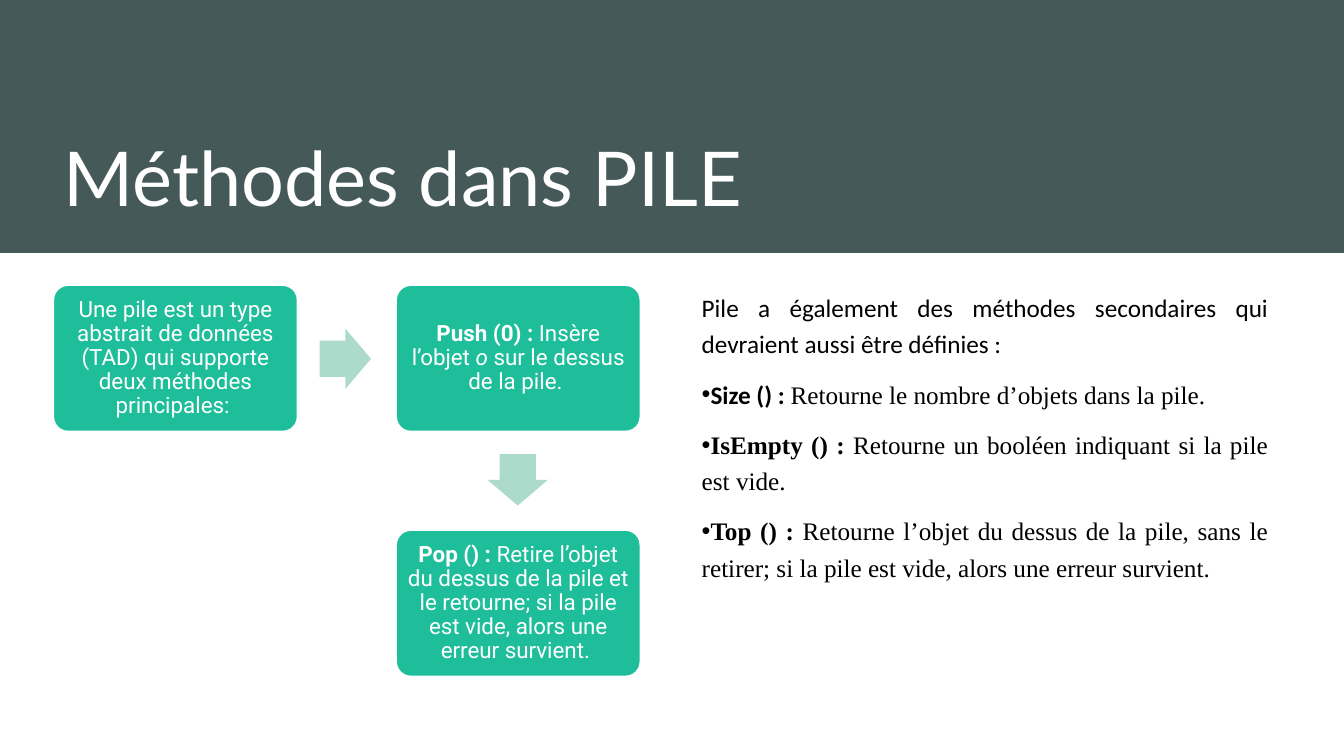
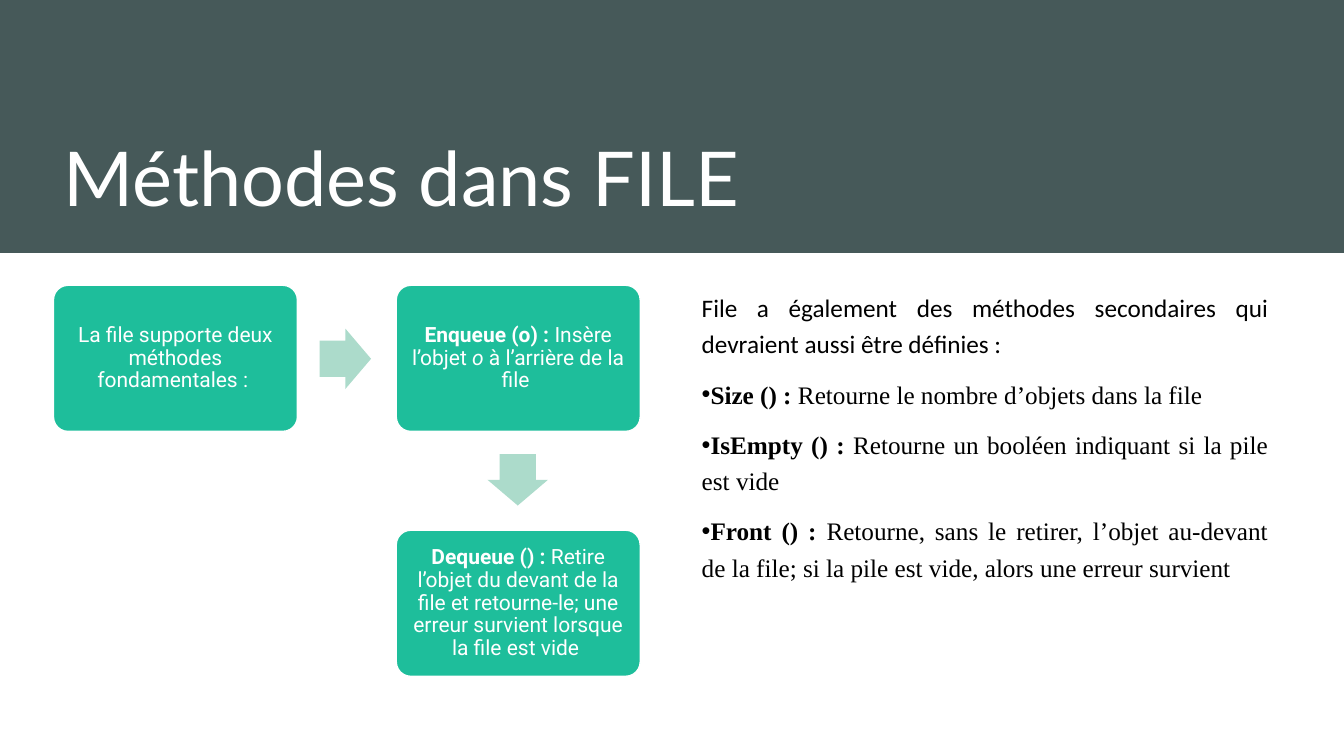
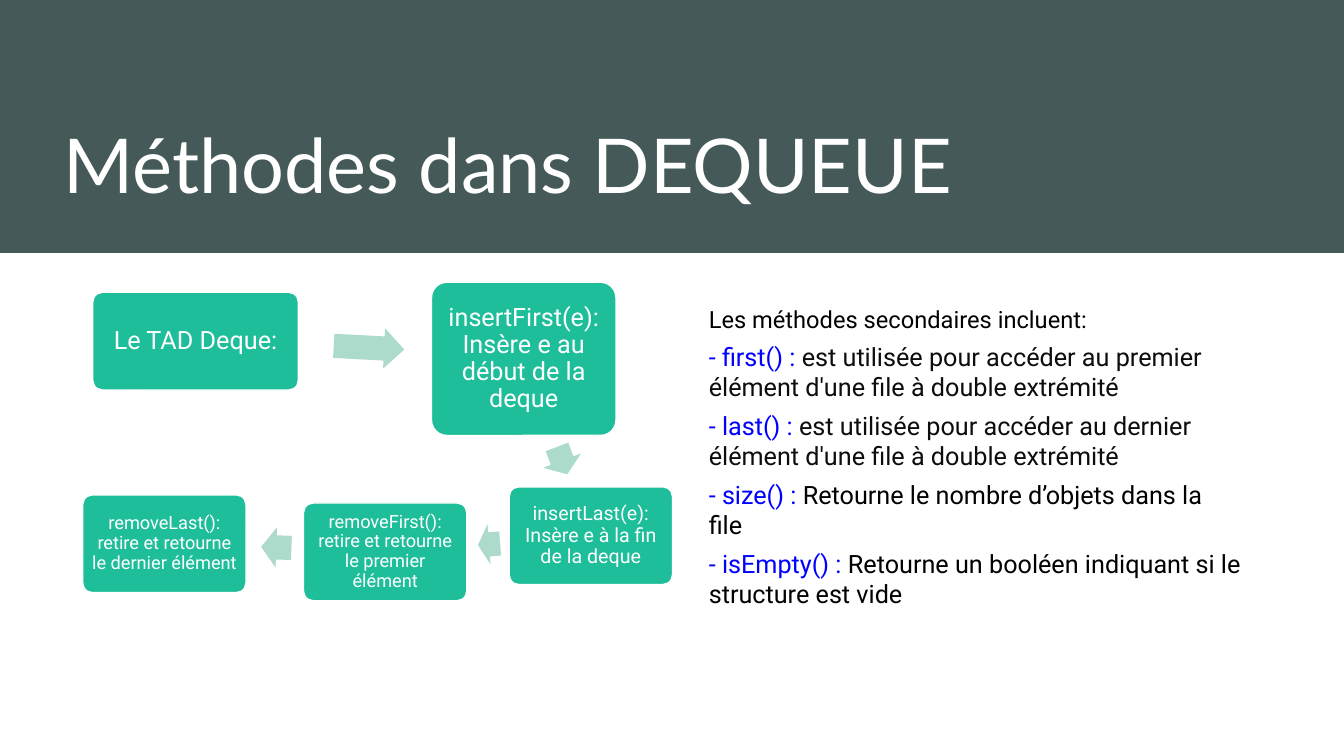
from lxml import etree
from pptx import Presentation
from pptx.dml.color import RGBColor
from pptx.enum.shapes import MSO_SHAPE
from pptx.enum.text import MSO_ANCHOR, MSO_AUTO_SIZE, PP_ALIGN
from pptx.oxml.ns import qn
from pptx.util import Inches, Pt

RECT, ROUND, ARROW = MSO_SHAPE.RECTANGLE, MSO_SHAPE.ROUNDED_RECTANGLE, MSO_SHAPE.RIGHT_ARROW
LEFT, CENTER, JUSTIFY = PP_ALIGN.LEFT, PP_ALIGN.CENTER, PP_ALIGN.JUSTIFY
TOP, MIDDLE, BOTTOM = MSO_ANCHOR.TOP, MSO_ANCHOR.MIDDLE, MSO_ANCHOR.BOTTOM
NO_FIT = MSO_AUTO_SIZE.NONE

SLATE, GREEN, MINT, WHITE = "465959", "1EBE9B", "ACDBCB", "FFFFFF"
BLACK, INK, BLUE = "000000", "0D0D0D", "0000FF"
TITLE_FONT, BOX_FONT, BODY_FONT, SERIF = "Lato", "Roboto", "Calibri", "Times New Roman"
BOLD, ITALIC = {"bold": True}, {"italic": True}


def rgb(color):
    return RGBColor.from_string(color)


class Deck:
    """Shared style and the slide being built."""

    def __init__(self):
        self.prs = Presentation()
        self.prs.slide_width, self.prs.slide_height = Inches(13.33), Inches(7.5)
        self.s = None

    def new_slide(self, title, width=12.32, height=1.85):
        self.s = self.prs.slides.add_slide(self.prs.slide_layouts[1])
        band = self.shape(RECT, (0, 0, 13.33, 2.51), SLATE)
        band.element.getparent().insert(2, band.element)  # behind the title
        tf = self.place(self.s.shapes.title, (0.53, 0.4, width, height), BOTTOM)
        p = tf.paragraphs[0]
        p.alignment = LEFT
        self.run(p, title, TITLE_FONT, 54, WHITE)

    def place(self, sp, at, anchor):
        sp.left, sp.top, sp.width, sp.height = map(Inches, at)
        tf = sp.text_frame
        tf.word_wrap, tf.auto_size, tf.vertical_anchor = True, NO_FIT, anchor
        return tf

    def run(self, p, text, font, size, color, bold=False, italic=False):
        r = p.add_run()
        r.text = text
        f = r.font
        f.name, f.size, f.bold, f.italic = font, Pt(size), bold, italic
        f.color.rgb = rgb(color)

    def shape(self, kind, at, fill):
        sp = self.s.shapes.add_shape(kind, *map(Inches, at))
        sp.shadow.inherit = False
        sp.fill.solid()
        sp.fill.fore_color.rgb = rgb(fill)
        sp.line.fill.background()
        return sp

    def box(self, at, runs, size, inset):
        sp = self.shape(ROUND, at, GREEN)
        sp.adjustments[0] = 0.1
        sp.line.color.rgb = rgb(WHITE)
        sp.line.width = Pt(1)
        tf = self.place(sp, at, MIDDLE)
        tf.margin_left = tf.margin_right = tf.margin_top = tf.margin_bottom = Inches(inset)
        p = tf.paragraphs[0]
        p.alignment, p.line_spacing = CENTER, 0.9
        for text, style in runs:
            self.run(p, text, BOX_FONT, size, WHITE, **style)

    def arrow(self, at, rotation=0):
        sp = self.shape(ARROW, at, MINT)
        sp.adjustments[0], sp.adjustments[1] = 0.6, 0.5
        sp.rotation = rotation

    def body(self, at):
        return self.place(self.s.placeholders[1], at, TOP)

    def paragraph(self, tf, align, spacing, before, after, bullet=None):
        p = tf.paragraphs[0] if not tf.paragraphs[0].runs else tf.add_paragraph()
        p.alignment, p.line_spacing = align, spacing
        p.space_before, p.space_after = Pt(before), Pt(after)
        pPr = p._p.get_or_add_pPr()
        pPr.set("marL", "0")
        pPr.set("indent", "0")
        if bullet:
            etree.SubElement(pPr, qn("a:buChar")).set("char", bullet)
        else:
            etree.SubElement(pPr, qn("a:buNone"))
        return p


def stack_or_queue(deck, name, size, inset, boxes, methods):
    deck.new_slide(f"Méthodes dans {name.upper()}")

    # Flow: right, then down
    left, top, col, row = 0.53, 2.83, 3.4, 2.43
    for (i, j), runs in zip([(0, 0), (1, 0), (1, 1)], boxes):
        deck.box((left + i * col, top + j * row, 2.42, 1.45), runs, size, inset)
    deck.arrow((3.17, 3.26, 0.51, 0.6))
    deck.arrow((4.88, 4.46, 0.51, 0.6), 90)

    # Secondary methods
    tf = deck.body((6.86, 2.79, 5.82, 3.96))
    p = deck.paragraph(tf, JUSTIFY, 1.2, 10, 0)
    intro = f"{name} a également des méthodes secondaires qui devraient aussi être définies : "
    deck.run(p, intro, BODY_FONT, 18, BLACK)
    for method, text, font in methods:
        p = deck.paragraph(tf, JUSTIFY, 1.2, 10, 0, "•")
        deck.run(p, method, font, 18, BLACK, bold=True)
        deck.run(p, text, SERIF, 18, BLACK)


def deque(deck):
    deck.new_slide("Méthodes dans DEQUEUE", 11.89, 1.72)

    # Flow around the slide's left half
    for at, text, size, inset in [
        ((0.92, 2.9, 2.04, 0.97), "Le TAD Deque:", 18, 0.07),
        ((4.28, 2.8, 1.83, 1.52), "insertFirst(e): Insère e au début de la deque", 18, 0.07),
        ((5.05, 4.83, 1.62, 0.97), "insertLast(e): Insère e à la fin de la deque", 14, 0.06),
        ((3.01, 4.99, 1.62, 0.97), "removeFirst(): retire et retourne le premier élément", 13, 0.05),
        ((0.82, 4.91, 1.62, 0.97), "removeLast(): retire et retourne le dernier élément", 13, 0.05),
    ]:
        deck.box(at, [(text, {})], size, inset)
    for at, rotation in [
        ((3.31, 3.25, 0.7, 0.4), 3),
        ((5.43, 4.37, 0.29, 0.4), 69.3),
        ((4.74, 5.2, 0.22, 0.4), 175.6),
        ((2.59, 5.23, 0.3, 0.4), 182.1),
    ]:
        deck.arrow(at, rotation)

    # Secondary methods
    tf = deck.body((6.93, 2.97, 5.48, 3.73))
    p = deck.paragraph(tf, LEFT, 1.0, 0, 6)
    deck.run(p, "Les méthodes secondaires incluent:", BOX_FONT, 16.9, BLACK)
    access = "est utilisée pour accéder au {} élément d'une file à double extrémité"
    for method, text, color in [
        ("first", access.format("premier"), INK),
        ("last", access.format("dernier"), INK),
        ("size", "Retourne le nombre d’objets dans la file ", BLACK),
        ("isEmpty", "Retourne un booléen indiquant si le structure est vide ", BLACK),
    ]:
        p = deck.paragraph(tf, LEFT, 1.0, 0, 6)
        deck.run(p, f"- {method}() : ", BOX_FONT, 18, BLUE)
        deck.run(p, text, BOX_FONT, 18, color)


def main():
    deck = Deck()
    stack_or_queue(
        deck, "Pile", 16, 0.07,
        [
            [("Une pile est un type abstrait de données (TAD) qui supporte "
              "deux méthodes principales: ", {})],
            [("Push (0) :", BOLD), (" Insère l’objet ", {}), ("o ", ITALIC),
             ("sur le dessus de la pile. ", {})],
            [("Pop () :", BOLD),
             (" Retire l’objet du dessus de la pile et le retourne; "
              "si la pile est vide, alors une erreur survient. ", {})],
        ],
        [
            ("Size () : ", "Retourne le nombre d’objets dans la pile. ", BODY_FONT),
            ("IsEmpty () :", " Retourne un booléen indiquant si la pile est vide. ", SERIF),
            ("Top () :", " Retourne l’objet du dessus de la pile, sans le retirer; "
             "si la pile est vide, alors une erreur survient. ", SERIF),
        ],
    )
    stack_or_queue(
        deck, "File", 15, 0.06,
        [
            [("La file supporte deux méthodes fondamentales : ", {})],
            [("Enqueue (o) :", BOLD), (" Insère l’objet ", {}), ("o ", ITALIC),
             ("à l’arrière de la file ", {})],
            [("Dequeue () :", BOLD),
             (" Retire l’objet du devant de la file et retourne-le; "
              "une erreur survient lorsque la file est vide ", {})],
        ],
        [
            ("Size () :", " Retourne le nombre d’objets dans la file ", SERIF),
            ("IsEmpty () :", " Retourne un booléen indiquant si la pile est vide ", SERIF),
            ("Front () :", " Retourne, sans le retirer, l’objet au-devant de la file; "
             "si la pile est vide, alors une erreur survient ", SERIF),
        ],
    )
    deque(deck)
    deck.prs.save("out.pptx")


if __name__ == "__main__":
    main()
